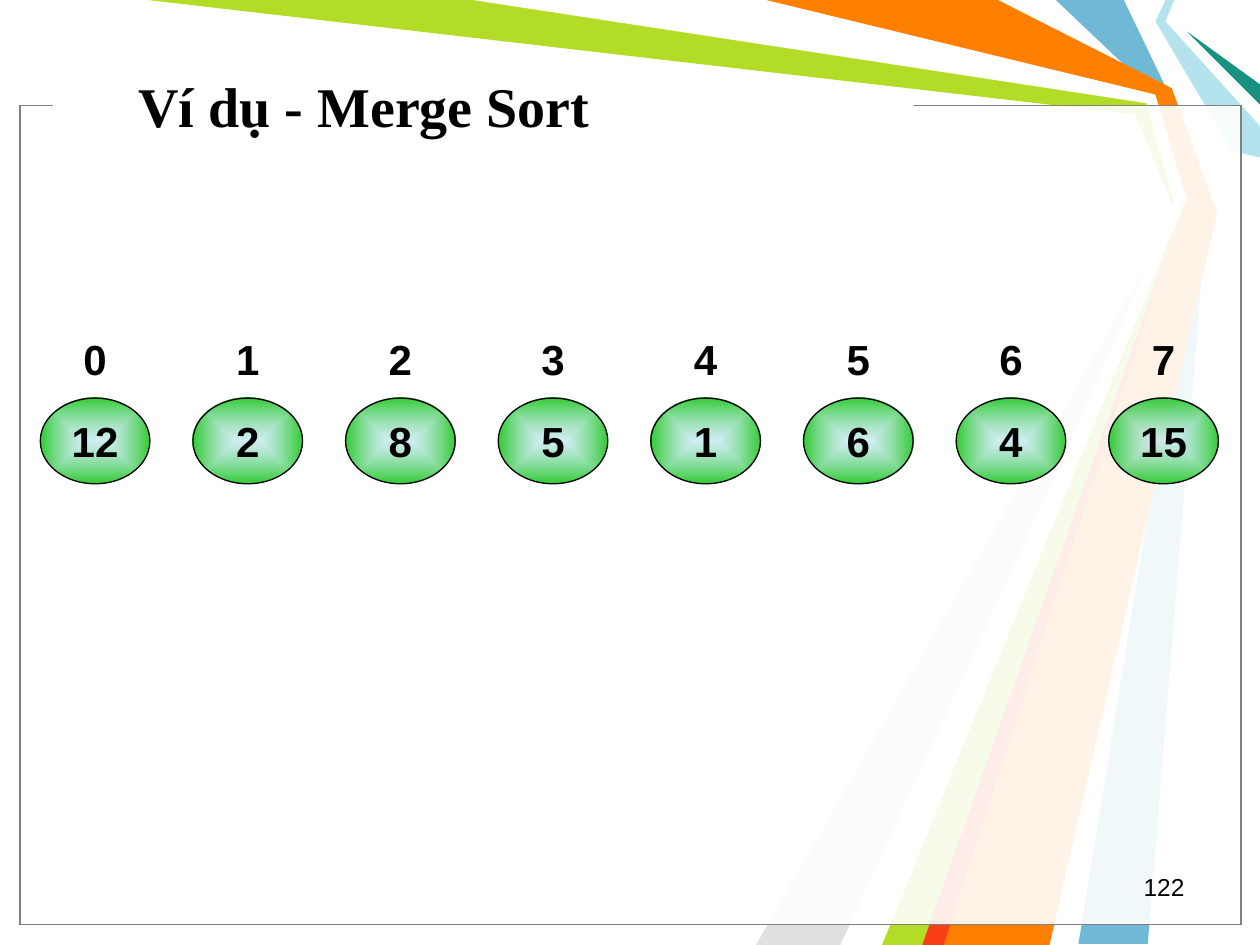
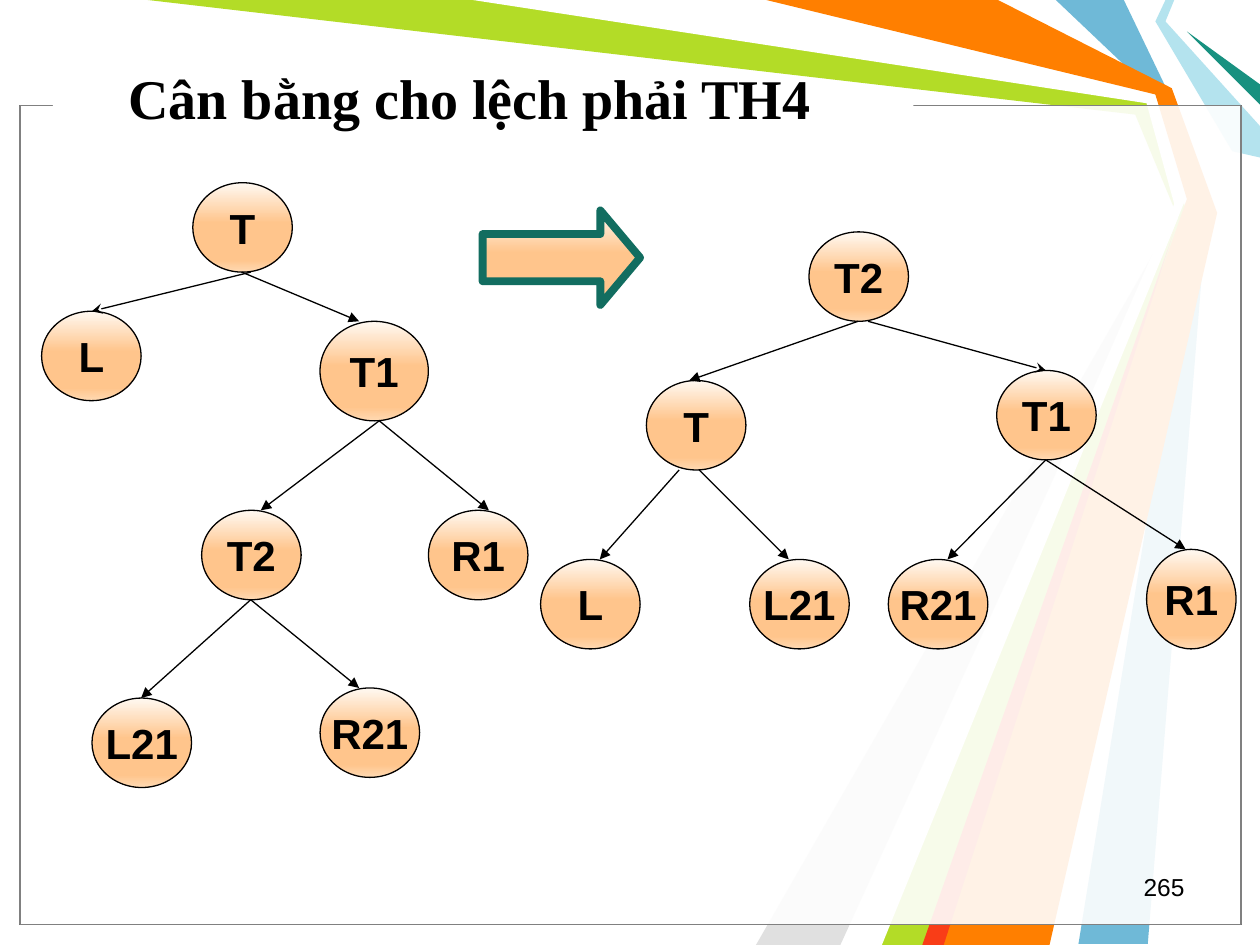
from dataclasses import dataclass

from pptx import Presentation
from pptx.dml.color import RGBColor
from pptx.enum.shapes import MSO_CONNECTOR, MSO_SHAPE
from pptx.enum.text import MSO_ANCHOR, PP_ALIGN
from pptx.oxml.ns import qn
from pptx.util import Emu, Pt
from lxml.etree import SubElement

PX = 9144


@dataclass(frozen=True)
class Theme:
    """Colours, fonts and sizes shared by the slides."""
    ink: str = "000000"
    paper: str = "FFFFFF"
    frame: str = "808080"
    blue: str = "6FB9D7"
    lime: str = "B3DC27"
    silver: str = "E0E0E0"
    ice: str = "B4E3EE"
    teal: str = "189180"
    orange: str = "FF7F00"
    red: str = "F93D17"
    arrow_edge: str = "126D60"
    panel_alpha: int = 69
    green_stops: tuple = ((0, "B4E3EE", 60), (100, "33CC33", 100))
    peach_stops: tuple = ((0, "FFF9F2", 100), (45, "FFC58C", 100),
                          (86, "FFC58C", 100), (100, "FFD9B2", 100))
    title_font: str = "Times New Roman"
    body_font: str = "Arial"
    title_size: int = 32
    node_size: int = 24
    number_size: int = 14
    hairline: float = 0.75
    arrow_line: float = 4.5


T = Theme()

RIBBONS = (
    (T.blue, ((892, 0), (929, 77), (958, 167), (911, 749), (856, 749),
              (950, 167), (917, 75), (838, 0))),
    (T.lime, ((117, 0), (383, 0), (914, 78), (942, 169), (742, 750),
              (692, 750), (935, 173), (901, 91))),
    (T.silver, ((667, 750), (927, 181), (600, 750))),
    (T.paper, ((375, 0), (910, 82), (932, 162), (675, 750), (700, 750),
               (941, 158), (917, 75), (600, 0))),
    (T.ice, ((925, 0), (917, 17), (978, 120), (1000, 125), (1000, 100),
             (925, 17), (932, 0))),
    (T.teal, ((1000, 83), (942, 25), (1000, 67))),
    (T.orange, ((608, 0), (792, 0), (930, 70), (966, 169), (833, 750),
                (733, 750), (942, 158), (917, 75))),
    (T.red, ((732, 750), (932, 183), (749, 750))),
)

NODE = (79, 71)
BEFORE_NODES = {
    "T": (120, 0, *NODE), "T1": (221, 110, 86, 79), "L": (0, 102, *NODE),
    "R1": (307, 260, *NODE), "T2": (127, 260, *NODE),
    "R21": (221, 401, *NODE), "L21": (40, 409, *NODE),
}
BEFORE_EDGES = (
    ("T", "L", 7, 1, "stealth"), ("T", "T1", 0, -12, "triangle"),
    ("T1", "R1", 4, 9, "triangle"), ("T1", "T2", 4, 8, "triangle"),
    ("T2", "L21", 0, 0, "triangle"), ("T2", "R21", 0, -8, "triangle"),
)
AFTER_NODES = {
    "T1": (362, 110, *NODE), "R1": (481, 252, 71, 79), "T2": (213, 0, *NODE),
    "R21": (276, 260, *NODE), "T": (84, 118, *NODE), "L": (0, 260, *NODE),
    "L21": (166, 260, *NODE),
}
AFTER_EDGES = (
    ("T2", "T1", 8, 0, "stealth"), ("T1", "R1", 0, -4, "triangle"),
    ("T1", "R21", 0, 8, "triangle"), ("T2", "T", 0, -5, "triangle"),
    ("T", "L", -13, 8, "triangle"), ("T", "L21", 3, -8, "triangle"),
)


def emu(*lengths):
    """Turn px lengths into EMU."""
    return [Emu(round(n * PX)) for n in lengths]


def rgb(color):
    """Make a colour from its hex code."""
    return RGBColor.from_string(color)


def set_line(s, color=None, width=T.hairline):
    """Outline a shape, or remove its outline."""
    if color is None:
        s.line.fill.background()
        return
    s.line.color.rgb = rgb(color)
    s.line.width = Pt(width)


def set_solid(s, color, alpha=100):
    """Fill a shape with one colour of the given opacity."""
    s.fill.solid()
    s.fill.fore_color.rgb = rgb(color)
    if alpha < 100:
        clr = s.element.spPr.find(qn("a:solidFill"))[0]
        SubElement(clr, qn("a:alpha"), val=str(alpha * 1000))


def set_gradient(s, stops, radial=False):
    """Fill a shape with a vertical or a centred gradient."""
    s.fill.gradient()
    grad = s.element.spPr.find(qn("a:gradFill"))
    for child in list(grad):
        grad.remove(child)
    gs_lst = SubElement(grad, qn("a:gsLst"))
    for pos, color, alpha in stops:
        gs = SubElement(gs_lst, qn("a:gs"), pos=str(pos * 1000))
        clr = SubElement(gs, qn("a:srgbClr"), val=color)
        if alpha < 100:
            SubElement(clr, qn("a:alpha"), val=str(alpha * 1000))
    if radial:
        center = SubElement(grad, qn("a:path"), path="shape")
        SubElement(center, qn("a:fillToRect"),
                   {side: "50000" for side in "ltrb"})
    else:
        SubElement(grad, qn("a:lin"), ang="5400000", scaled="1")


def add_preset(slide, kind, box):
    """Add a preset shape without a shadow."""
    s = slide.shapes.add_shape(kind, *emu(*box))
    s.shadow.inherit = False
    return s


def write(s, text, size, font=T.body_font, bold=True, align=PP_ALIGN.CENTER,
          anchor=MSO_ANCHOR.MIDDLE, wrap=False):
    """Write one formatted paragraph into a shape."""
    tf = s.text_frame
    tf.text = text
    tf.word_wrap = wrap
    tf.vertical_anchor = anchor
    p = tf.paragraphs[0]
    p.alignment = align
    f = p.runs[0].font
    f.name, f.size, f.bold = font, Pt(size), bold
    f.color.rgb = rgb(T.ink)


def add_text(slide, box, text, size, **style):
    """Add a text box with one paragraph."""
    write(slide.shapes.add_textbox(*emu(*box)), text, size, **style)


def add_node(slide, box, text, stops, radial=False):
    """Add a labelled ellipse."""
    s = add_preset(slide, MSO_SHAPE.OVAL, box)
    set_gradient(s, stops, radial)
    set_line(s, T.ink)
    write(s, text, T.node_size)


def add_edge(slide, x1, y1, x2, y2, head):
    """Add a straight line ending in an arrowhead."""
    c = slide.shapes.add_connector(MSO_CONNECTOR.STRAIGHT,
                                   *emu(x1, y1, x2, y2))
    set_line(c, T.ink)
    SubElement(c.line._get_or_add_ln(), qn("a:tailEnd"), type=head)
    SubElement(c.element.spPr, qn("a:effectLst"))


def draw_backdrop(slide):
    """Draw the ribbons, the translucent panel and the gap for the title."""
    for color, (start, *points) in RIBBONS:
        fb = slide.shapes.build_freeform(*start, scale=PX)
        fb.add_line_segments(points, close=True)
        s = fb.convert_to_shape()
        s.shadow.inherit = False
        set_solid(s, color)
        set_line(s)
    for edge in (T.ink, T.frame):
        s = add_preset(slide, MSO_SHAPE.RECTANGLE, (16, 84, 969, 650))
        set_solid(s, T.paper, T.panel_alpha)
        set_line(s, edge)
    s = add_preset(slide, MSO_SHAPE.RECTANGLE, (42, 74, 683, 17))
    set_solid(s, T.paper)
    set_line(s)


def start_slide(prs, title, title_box, number):
    """Add a slide with its backdrop, title and page number."""
    slide = prs.slides.add_slide(prs.slide_layouts[6])
    draw_backdrop(slide)
    add_text(slide, title_box, title, T.title_size, font=T.title_font,
             align=PP_ALIGN.LEFT, wrap=True)
    add_text(slide, (717, 687, 233, 33), str(number), T.number_size,
             bold=False, align=PP_ALIGN.RIGHT, anchor=MSO_ANCHOR.TOP,
             wrap=True)
    return slide


def draw_array(slide, box, values):
    """Draw evenly spaced values under their indexes."""
    left, top, width, height = box
    node_w, node_h, label_h = 87, 68, 66
    pitch = (width - node_w) / (len(values) - 1)
    for i, value in enumerate(values):
        x = left + i * pitch
        add_text(slide, (x, top, node_w, label_h), str(i), T.node_size)
        add_node(slide, (x, top + height - node_h, node_w, node_h),
                 str(value), T.green_stops, radial=True)


def draw_tree(slide, origin, nodes, edges):
    """Draw a tree whose edges run from a node's bottom to a child's top."""
    left, top = origin
    boxes = {name: (left + x, top + y, w, h)
             for name, (x, y, w, h) in nodes.items()}
    for name, box in boxes.items():
        add_node(slide, box, name, T.peach_stops)
    for parent, child, shift_out, shift_in, head in edges:
        px, py, pw, ph = boxes[parent]
        cx, cy, cw, _ = boxes[child]
        add_edge(slide, px + pw // 2 + shift_out, py + ph,
                 cx + cw // 2 + shift_in, cy, head)


def draw_step_arrow(slide, box):
    """Draw the block arrow between the two trees."""
    s = add_preset(slide, MSO_SHAPE.RIGHT_ARROW, box)
    s.adjustments[0], s.adjustments[1] = 0.5, 0.42
    set_gradient(s, T.peach_stops)
    set_line(s, T.arrow_edge, T.arrow_line)


def build_merge_sort(prs):
    """Build the slide with the unsorted array."""
    slide = start_slide(prs, "Ví dụ - Merge Sort", (100, 42, 689, 83), 122)
    draw_array(slide, (32, 252, 935, 132), (12, 2, 8, 5, 1, 6, 4, 15))


def build_rotation(prs):
    """Build the slide with the tree before and after balancing."""
    slide = start_slide(prs, "Cân bằng cho lệch phải TH4",
                        (92, 42, 689, 70), 265)
    draw_tree(slide, (33, 145), BEFORE_NODES, BEFORE_EDGES)
    draw_tree(slide, (429, 184), AFTER_NODES, AFTER_EDGES)
    draw_step_arrow(slide, (383, 167, 125, 75))


def main():
    """Build and save the presentation."""
    prs = Presentation()
    prs.slide_width, prs.slide_height = emu(1000, 750)
    build_merge_sort(prs)
    build_rotation(prs)
    prs.save("out.pptx")


if __name__ == "__main__":
    main()
